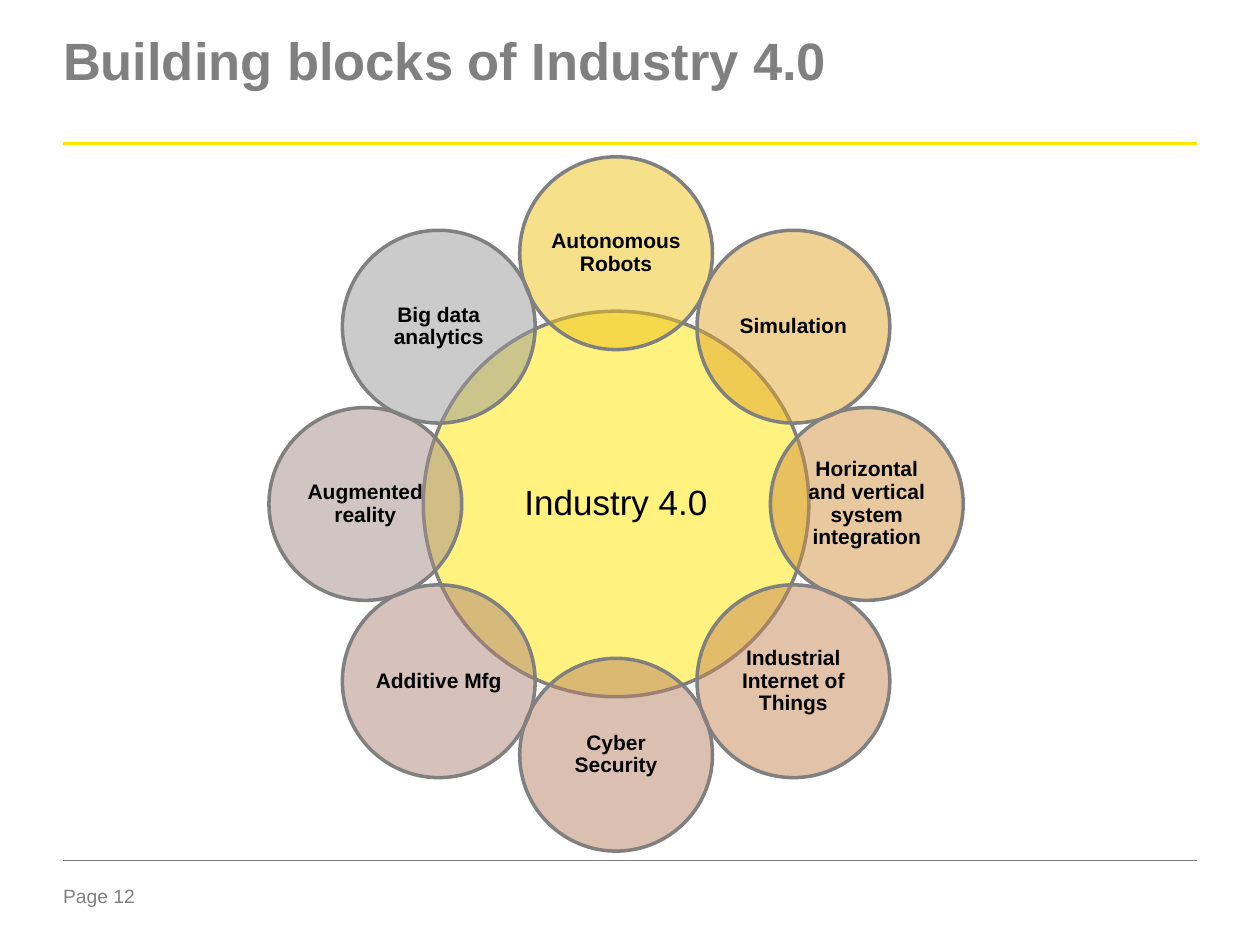
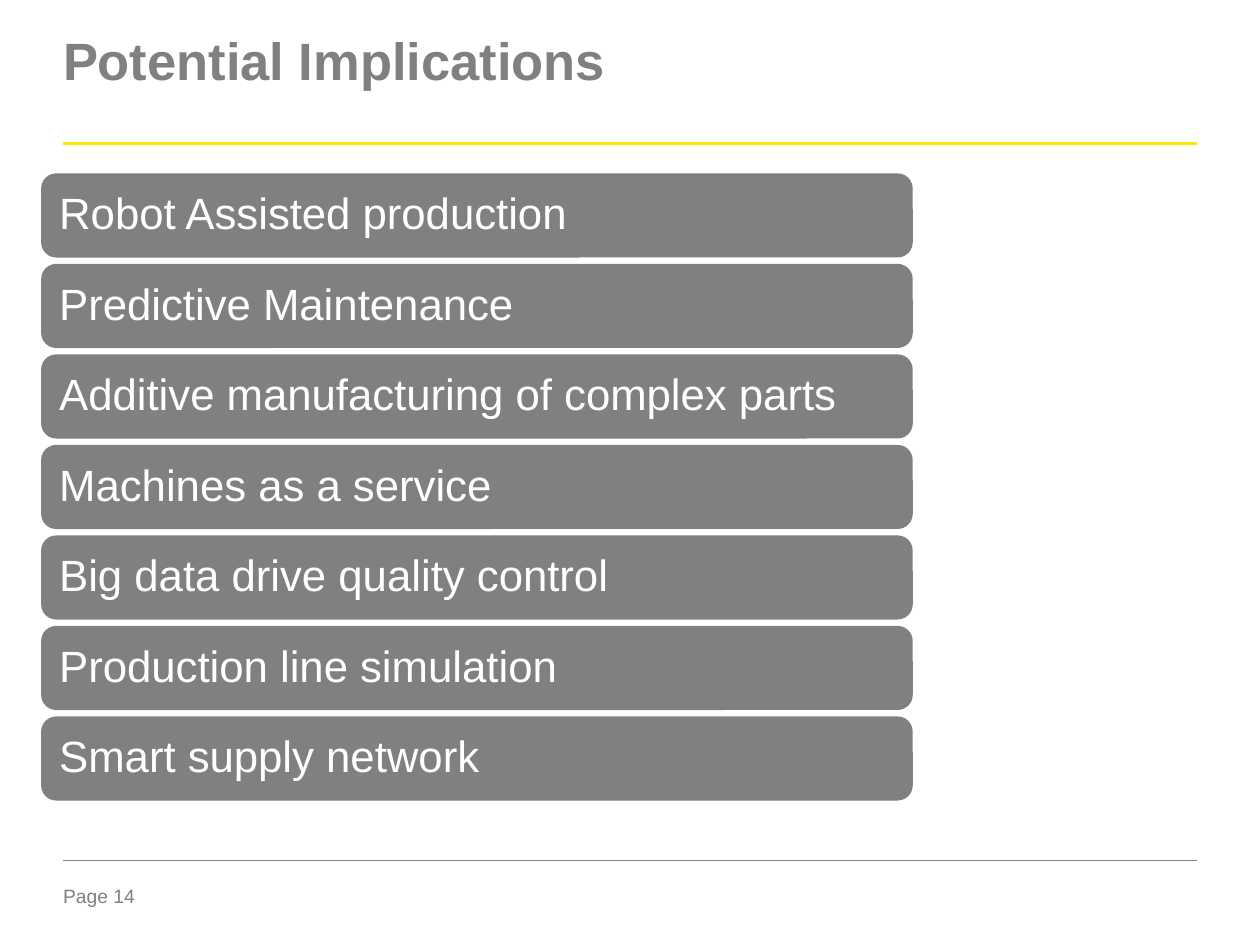
from math import cos, pi, sin

from lxml import etree
from pptx import Presentation
from pptx import util as u
from pptx.dml import color
from pptx.enum import shapes, text
from pptx.oxml import ns

# Content
RING = [  # clockwise from the top: label, fill
    ("Autonomous Robots", "EFC216"),
    ("Simulation", "E1A62B"),
    ("Horizontal and vertical system integration", "D3923F"),
    ("Industrial Internet of Things", "C68753"),
    ("Cyber Security", "B98266"),
    ("Additive Mfg", "AE8478"),
    ("Augmented reality", "A38C89"),
    ("Big data analytics", "999999"),
]
BARS = [
    "Robot Assisted production",
    "Predictive Maintenance",
    "Additive manufacturing of complex parts",
    "Machines as a service",
    "Big data drive quality control",
    "Production line simulation",
    "Smart supply network",
]

# Shared look, lengths in inches
WIDTH, HEIGHT = 10, 7.5
EDGE = 0.05 * WIDTH
SPAN = WIDTH - 2 * EDGE
FONT = "Arial"
GREY, YELLOW, BLACK, WHITE = "808080", "FFE600", "000000", "FFFFFF"
RULES = [(1.14, YELLOW, 1.5), (6.83, GREY, 0.25)]  # y, colour, points
LEFT, MID = text.PP_ALIGN.LEFT, text.PP_ALIGN.CENTER
TOP, CENTER = text.MSO_ANCHOR.TOP, text.MSO_ANCHOR.MIDDLE

# Ring and bar layout
HUB = (4.89, 4.0)
HUB_SIZE, DOT_SIZE = 3.06, 1.53
REACH = 1.99
BAR_LEFT, BAR_TOP, BAR_WIDE, BAR_HIGH = 0.34, 1.39, 6.89, 0.64
BAR_STEP = 4.31 / 6


def rgb(code):
    return color.RGBColor.from_string(code)


def write(shape, words, size=12, ink=BLACK, bold=False, align=LEFT,
          anchor=CENTER, inset=0, lead=0.9):
    """Put formatted text in a shape, text box or placeholder."""
    frame = shape.text_frame
    frame.word_wrap = True
    frame.auto_size = text.MSO_AUTO_SIZE.NONE
    frame.vertical_anchor = anchor
    frame.margin_left = frame.margin_right = u.Inches(inset)
    frame.margin_top = frame.margin_bottom = u.Inches(inset)
    para = frame.paragraphs[0]
    para.alignment, para.line_spacing = align, lead
    run = para.add_run()
    run.text = words
    font = run.font
    font.name, font.size, font.bold = FONT, u.Pt(size), bold
    font.color.rgb = rgb(ink)


def draw(slide, kind, box, fill, alpha=None):
    """Add a grey-edged preset shape; alpha is opacity in percent."""
    shape = slide.shapes.add_shape(kind, *map(u.Inches, box))
    shape.shadow.inherit = False
    shape.fill.solid()
    shape.fill.fore_color.rgb = rgb(fill)
    shape.line.color.rgb = rgb(GREY)
    shape.line.width = u.Pt(2)
    if alpha:
        tint = shape.fill._xPr.find(".//" + ns.qn("a:srgbClr"))
        etree.SubElement(tint, ns.qn("a:alpha"), val=str(alpha * 1000))
    return shape


def circle(slide, x, y, size, fill):
    box = (x - size / 2, y - size / 2, size, size)
    return draw(slide, shapes.MSO_SHAPE.OVAL, box, fill, alpha=50)


def start(deck, title, page):
    """Add a slide with its title, rules and page label."""
    slide = deck.slides.add_slide(deck.slide_layouts[5])
    head = slide.shapes.title
    head.left, head.top = u.Inches(EDGE), u.Inches(0.3)
    head.width, head.height = u.Inches(SPAN), u.Inches(0.94)
    write(head, title, size=30, ink=GREY, bold=True, anchor=TOP, lead=0.85)
    for y, ink, weight in RULES:
        ends = map(u.Inches, (EDGE, y, EDGE + SPAN, y))
        rule = slide.shapes.add_connector(shapes.MSO_CONNECTOR.STRAIGHT, *ends)
        rule.line.color.rgb = rgb(ink)
        rule.line.width = u.Pt(weight)
        etree.SubElement(rule._element.spPr, ns.qn("a:effectLst"))
    foot = slide.shapes.add_textbox(*map(u.Inches, (EDGE, 7.02, 0.79, 0.22)))
    write(foot, f"Page {page}", size=11, ink=GREY, anchor=TOP, lead=1.0)
    return slide


def blocks(deck):
    slide = start(deck, "Building blocks of Industry 4.0", 12)
    hub = circle(slide, *HUB, HUB_SIZE, YELLOW)
    write(hub, "Industry 4.0", size=20, align=MID, inset=0.03)
    for i, (label, fill) in enumerate(RING):
        turn = 2 * pi * i / len(RING)
        x, y = HUB[0] + REACH * sin(turn), HUB[1] - REACH * cos(turn)
        dot = circle(slide, x, y, DOT_SIZE, fill)
        write(dot, label, bold=True, align=MID, inset=0.02)


def effects(deck):
    slide = start(deck, "Potential Implications", 14)
    for i, label in enumerate(BARS):
        box = (BAR_LEFT, BAR_TOP + i * BAR_STEP, BAR_WIDE, BAR_HIGH)
        bar = draw(slide, shapes.MSO_SHAPE.ROUNDED_RECTANGLE, box, GREY)
        write(bar, label, size=25, ink=WHITE, inset=0.1)


def main():
    deck = Presentation()
    deck.slide_width, deck.slide_height = u.Inches(WIDTH), u.Inches(HEIGHT)
    blocks(deck)
    effects(deck)
    deck.save("out.pptx")


if __name__ == "__main__":
    main()
